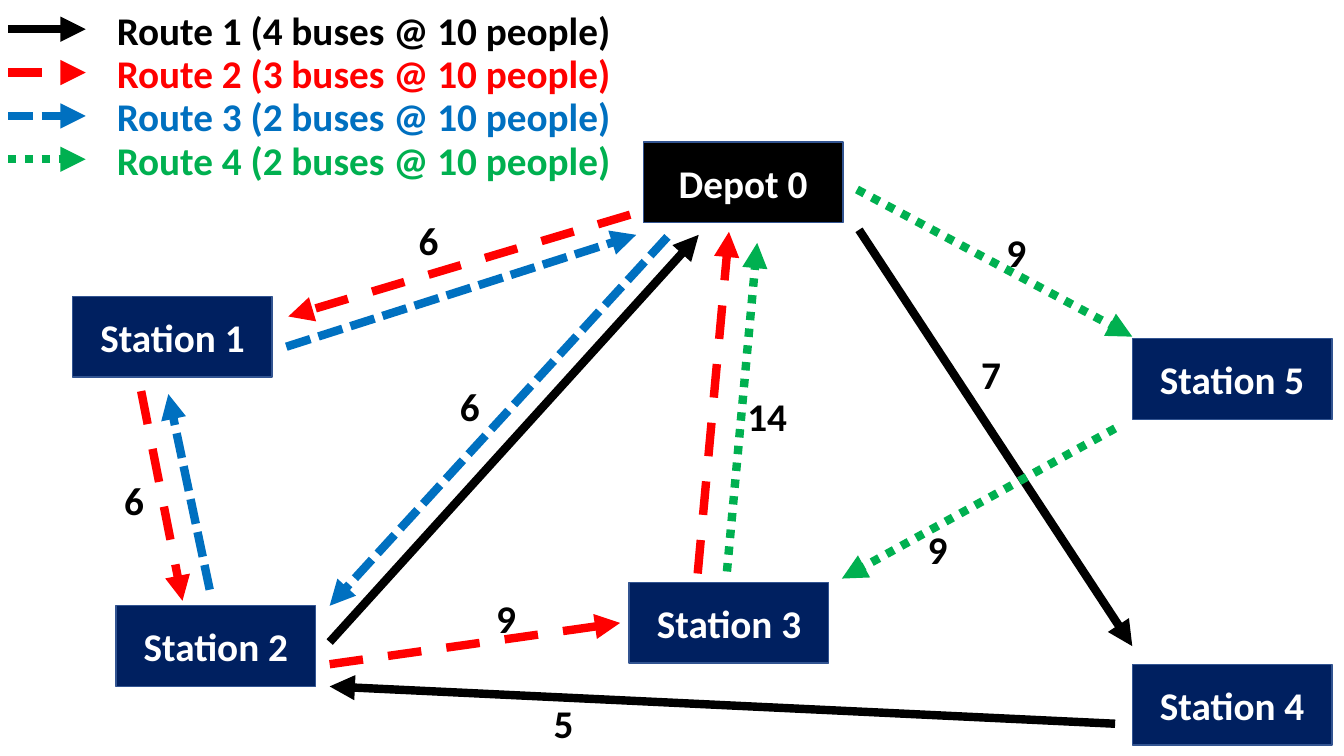
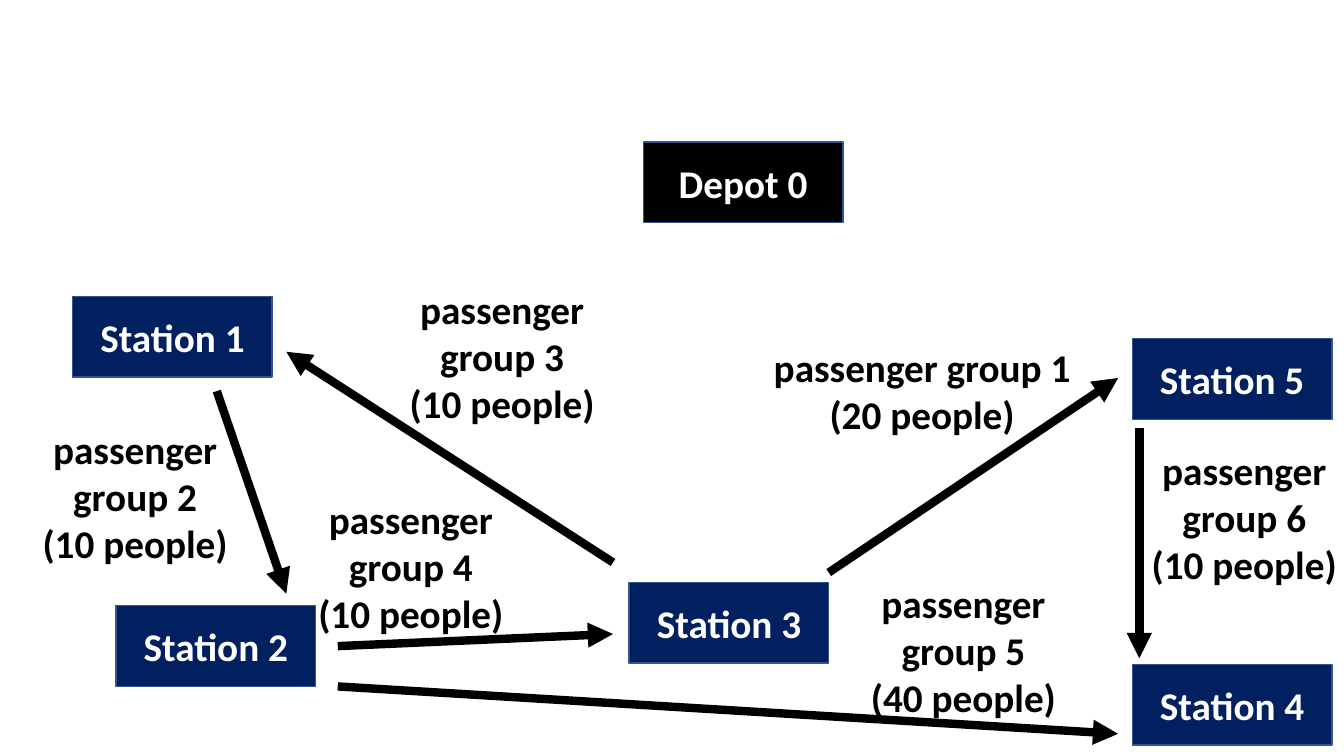
"""Build two slides: bus routes between stations, and passenger groups between stations."""
import lxml.etree
import pptx
import pptx.dml.color
import pptx.enum.dml
import pptx.enum.shapes
import pptx.enum.text
import pptx.oxml.ns
import pptx.util
from dataclasses import dataclass

Inches = pptx.util.Inches
Dash = pptx.enum.dml.MSO_LINE
Align = pptx.enum.text.PP_ALIGN
Anchor = pptx.enum.text.MSO_ANCHOR


@dataclass(frozen=True)
class Theme:
    font: str = "Calibri"
    size: int = 28
    arrow_width: int = 6
    border_width: int = 1
    black: str = "000000"
    white: str = "FFFFFF"
    navy: str = "002060"
    border: str = "325491"
    red: str = "FF0000"
    blue: str = "0070C0"
    green: str = "00B050"


theme = Theme()
rgb = pptx.dml.color.RGBColor.from_string


def write(shape, text, color, align=Align.CENTER, wrap=True):
    frame = shape.text_frame
    frame.text = text
    frame.word_wrap = wrap
    for paragraph in frame.paragraphs:
        paragraph.alignment = align
        for run in paragraph.runs:
            run.font.name = theme.font
            run.font.size = pptx.util.Pt(theme.size)
            run.font.bold = True
            run.font.color.rgb = rgb(color)


def add_arrow(slide, start, end, color=theme.black, dash=None):
    arrow = slide.shapes.add_connector(
        pptx.enum.shapes.MSO_CONNECTOR.STRAIGHT, *map(Inches, start + end))
    arrow.line.color.rgb = rgb(color)
    arrow.line.width = pptx.util.Pt(theme.arrow_width)
    if dash is not None:
        arrow.line.dash_style = dash
    qn = pptx.oxml.ns.qn
    lxml.etree.SubElement(arrow.line._get_or_add_ln(), qn("a:tailEnd"), type="triangle")
    lxml.etree.SubElement(arrow._element.spPr, qn("a:effectLst"))


STOP_SIZE = (1.98, 0.8)
STOPS = [
    ("Depot 0", 6.38, 1.41, theme.black),
    ("Station 1", 0.72, 2.94, theme.navy),
    ("Station 2", 1.15, 6.01, theme.navy),
    ("Station 3", 6.24, 5.78, theme.navy),
    ("Station 4", 11.23, 6.59, theme.navy),
    ("Station 5", 11.23, 3.36, theme.navy),
]

ROUTES = [
    ("Route 1 (4 buses @ 10 people)", theme.black, None, [
        ((8.52, 2.28), (11.23, 6.41)),
        ((11.06, 7.18), (3.27, 6.81)),
        ((3.27, 6.37), (6.93, 2.33)),
    ]),
    ("Route 2 (3 buses @ 10 people)", theme.red, Dash.DASH, [
        ((6.25, 2.13), (2.86, 3.14)),
        ((1.4, 3.88), (1.81, 5.96)),
        ((3.27, 6.59), (6.15, 6.18)),
        ((6.92, 5.69), (7.23, 2.3)),
    ]),
    ("Route 3 (2 buses @ 10 people)", theme.blue, Dash.SQUARE_DOT, [
        ((6.62, 2.35), (3.27, 6.01)),
        ((2.08, 5.85), (1.67, 3.91)),
        ((2.84, 3.44), (6.31, 2.33)),
    ]),
    ("Route 4 (2 buses @ 10 people)", theme.green, Dash.ROUND_DOT, [
        ((8.5, 1.88), (11.23, 3.34)),
        ((11.06, 4.25), (8.35, 5.74)),
        ((7.21, 5.67), (7.51, 2.41)),
    ]),
]
LEGEND_PITCH = 0.43
LABEL_HEIGHT = 0.57

DISTANCE_WIDTH = 0.6
DISTANCES = [
    ("6", 1.33, 4.68), ("6", 4.25, 2.1), ("6", 4.66, 3.74),
    ("9", 10.08, 2.22), ("14", 7.61, 3.84), ("9", 9.3, 5.16),
    ("7", 9.83, 3.43), ("5", 5.59, 6.89), ("9", 5.02, 5.85),
]

GROUPS = [
    (1, 20, (7.44, 3.36, 3.41, 1.04), (8.22, 5.68), (11.09, 3.75)),
    (2, 10, (0.19, 4.17, 2.3, 1.51), (2.15, 3.88), (2.84, 5.89)),
    (3, 10, (3.83, 2.78, 2.3, 1.51), (6.08, 5.58), (2.84, 3.49)),
    (4, 10, (2.71, 4.86, 2.73, 1.51), (3.35, 6.41), (6.08, 6.29)),
    (5, 40, (8.48, 5.7, 2.15, 1.51), (3.35, 6.81), (11.09, 7.28)),
    (6, 10, (11.19, 4.38, 2.3, 1.51), (11.3, 4.25), (11.3, 6.53)),
]

deck = pptx.Presentation()
deck.slide_width = Inches(13.33)
deck.slide_height = Inches(7.5)
blank = deck.slide_layouts[6]
routes_slide = deck.slides.add_slide(blank)
groups_slide = deck.slides.add_slide(blank)

for slide in (routes_slide, groups_slide):
    for name, left, top, color in STOPS:
        stop = slide.shapes.add_shape(
            pptx.enum.shapes.MSO_SHAPE.RECTANGLE, *map(Inches, (left, top) + STOP_SIZE))
        stop.shadow.inherit = False
        stop.fill.solid()
        stop.fill.fore_color.rgb = rgb(color)
        stop.line.color.rgb = rgb(theme.border)
        stop.line.width = pptx.util.Pt(theme.border_width)
        stop.text_frame.vertical_anchor = Anchor.MIDDLE
        write(stop, name, theme.white)

for row, (route, color, dash, legs) in enumerate(ROUTES):
    offset = row * LEGEND_PITCH
    legend_key = ((0.08, 0.29 + offset), (0.85, 0.29 + offset))
    for start, end in [legend_key] + legs:
        add_arrow(routes_slide, start, end, color, dash)
    legend_label = routes_slide.shapes.add_textbox(
        *map(Inches, (1.06, 0.01 + offset, 5.15, LABEL_HEIGHT)))
    write(legend_label, route, color, Align.LEFT, wrap=False)

for distance, center, top in DISTANCES:
    distance_label = routes_slide.shapes.add_textbox(
        *map(Inches, (center - DISTANCE_WIDTH / 2, top, DISTANCE_WIDTH, LABEL_HEIGHT)))
    write(distance_label, distance, theme.black, wrap=False)

for number, people, area, start, end in GROUPS:
    add_arrow(groups_slide, start, end)
    group_label = groups_slide.shapes.add_textbox(*map(Inches, area))
    write(group_label, f"passenger group {number}\n({people} people)", theme.black)

deck.save("out.pptx")
